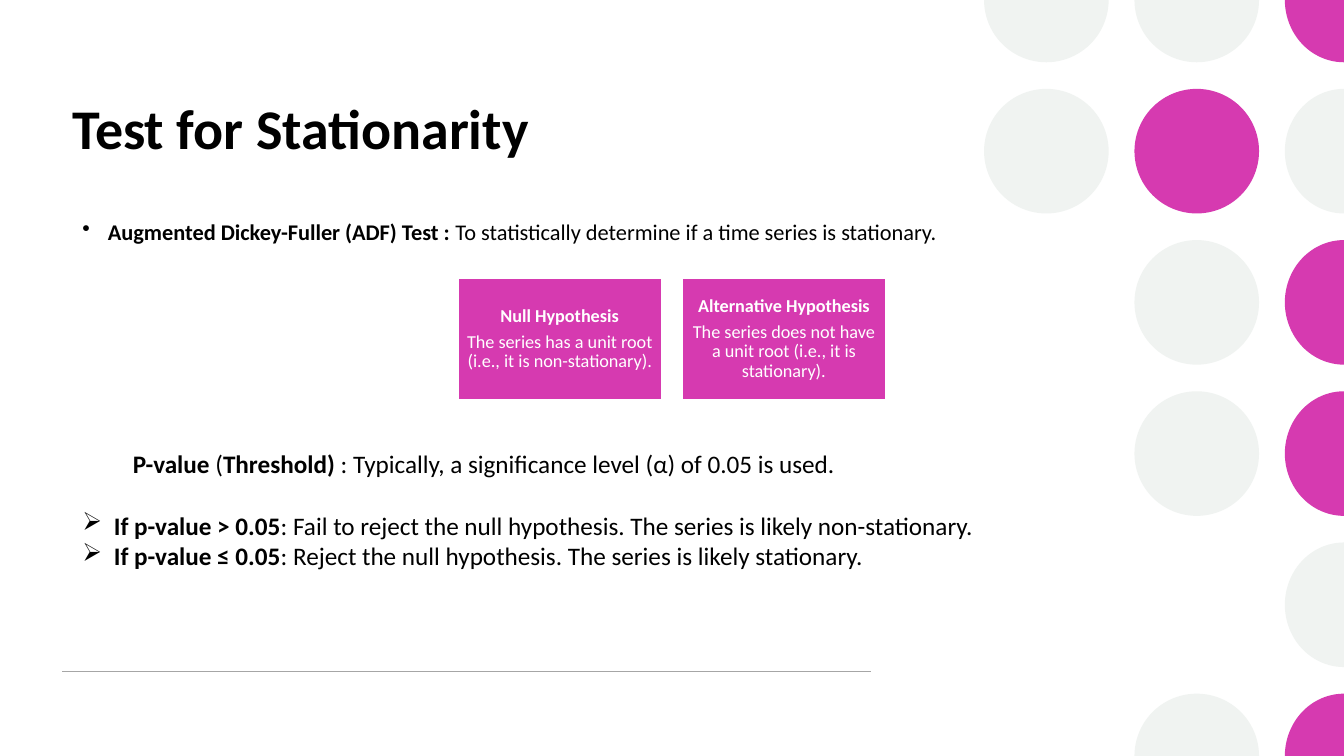
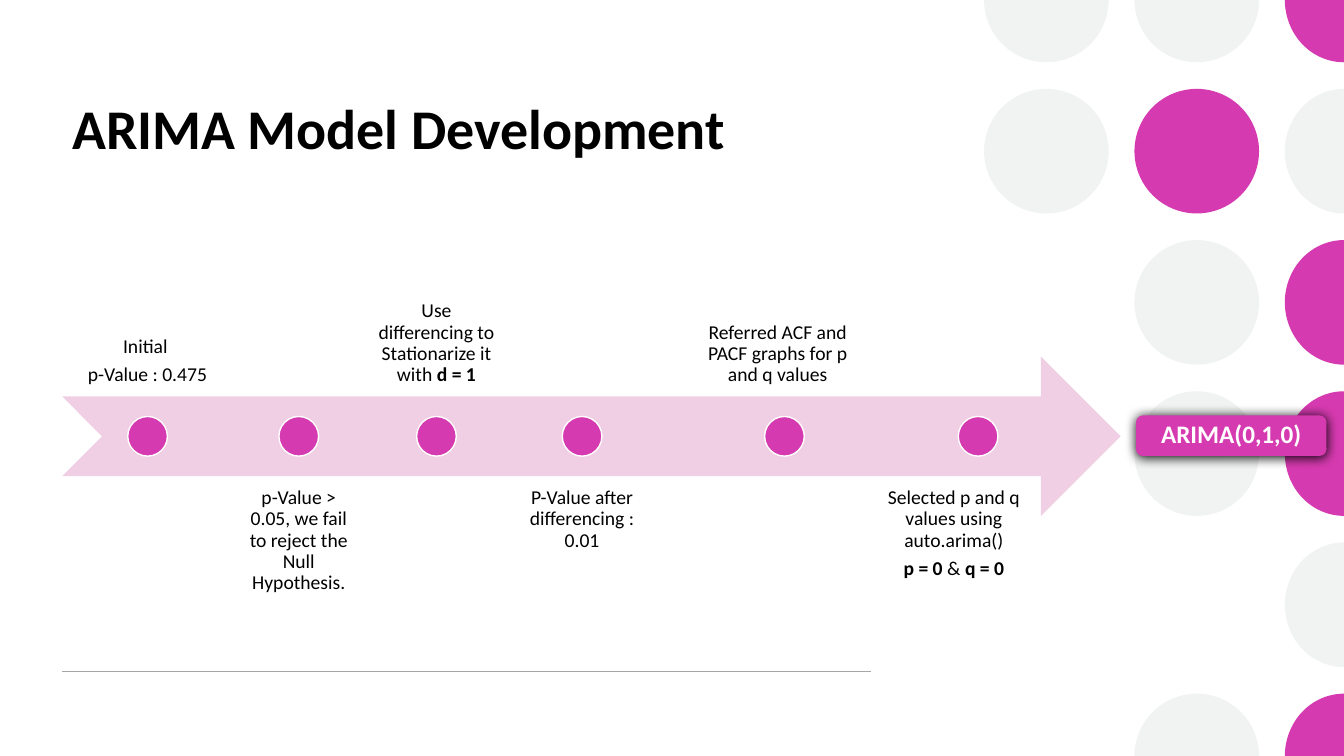
from dataclasses import dataclass
from math import cos, radians, sin

from lxml import etree
from pptx import Presentation
from pptx.dml.color import RGBColor
from pptx.enum.shapes import MSO_CONNECTOR, MSO_SHAPE
from pptx.enum.text import MSO_ANCHOR, PP_ALIGN
from pptx.oxml.ns import qn
from pptx.shapes.autoshape import Shape
from pptx.slide import Slide
from pptx.util import Cm, Pt

LEFT, CENTER = PP_ALIGN.LEFT, PP_ALIGN.CENTER
TOP, MIDDLE, BOTTOM = MSO_ANCHOR.TOP, MSO_ANCHOR.MIDDLE, MSO_ANCHOR.BOTTOM
OVAL, RECTANGLE = MSO_SHAPE.OVAL, MSO_SHAPE.RECTANGLE
ROUNDED, NOTCHED_ARROW = MSO_SHAPE.ROUNDED_RECTANGLE, MSO_SHAPE.NOTCHED_RIGHT_ARROW
STRAIGHT = MSO_CONNECTOR.STRAIGHT

FONT = "Calibri"
BLACK, WHITE = "000000", "FFFFFF"
PINK, PALE_PINK, MIST, RULE_GREY = "D63AB0", "F0CEE4", "F0F3F1", "A6A6A6"

PAGE_WIDTH, PAGE_HEIGHT = 33.87, 19.05
MARGIN = 1.57
DEGREE = 60000

# Circle pattern: one string per row, one letter per column
CIRCLE_ROWS = ("MMP", "MPM", " MP", " MP", "  M", " MP")
CIRCLE_FILLS = {"M": MIST, "P": PINK}
CIRCLE_RADIUS = 1.57
CIRCLE_LEFT, CIRCLE_STEP_X, CIRCLE_STEP_Y = 26.37, 3.79, 3.81


@dataclass(frozen=True)
class Area:
    left: float
    top: float
    width: float
    height: float

    def lengths(self) -> tuple[Cm, Cm, Cm, Cm]:
        return Cm(self.left), Cm(self.top), Cm(self.width), Cm(self.height)


@dataclass(frozen=True)
class Span:
    text: str
    bold: bool = False


@dataclass(frozen=True)
class Para:
    spans: tuple[Span, ...]
    bullet: str = ""
    margin: float = 0
    indent: float = 0
    before: float = 0


@dataclass(frozen=True)
class TextStyle:
    size: float
    color: str = BLACK
    align: PP_ALIGN = LEFT
    anchor: MSO_ANCHOR = TOP
    inset_x: float = 0.25
    inset_y: float = 0.13
    compact: bool = False


@dataclass(frozen=True)
class Step:
    center: float
    width: float
    paras: tuple[Para, ...]
    dot_shift: float = 0


TITLE_STYLE = TextStyle(40)
CARD_STYLE = TextStyle(13, WHITE, CENTER, MIDDLE, 0.13, 0.13, True)
ABOVE_STYLE = TextStyle(14, BLACK, CENTER, BOTTOM, 0.28, 0.28, True)
BELOW_STYLE = TextStyle(14, BLACK, CENTER, TOP, 0.28, 0.28, True)
BADGE_STYLE = TextStyle(18, WHITE, CENTER, MIDDLE, 0.18, 0.1, True)


def plain(text: str) -> Para:
    return Para((Span(text),))


def rgb(color: str) -> RGBColor:
    return RGBColor.from_string(color)


def paint(shape: Shape, fill: str, line: str = "") -> None:
    shape.shadow.inherit = False
    shape.fill.solid()
    shape.fill.fore_color.rgb = rgb(fill)
    if line:
        shape.line.color.rgb = rgb(line)
        shape.line.width = Pt(1)
    else:
        shape.line.fill.background()


def add_figure(page: Slide, kind: MSO_SHAPE, area: Area, fill: str, line: str = "") -> Shape:
    shape = page.shapes.add_shape(kind, *area.lengths())
    paint(shape, fill, line)
    return shape


def write(box: Shape, paras: tuple[Para, ...], style: TextStyle) -> None:
    frame = box.text_frame
    frame.word_wrap = True
    frame.vertical_anchor = style.anchor
    frame.margin_left = frame.margin_right = Cm(style.inset_x)
    frame.margin_top = frame.margin_bottom = Cm(style.inset_y)
    for index, para in enumerate(paras):
        paragraph = frame.add_paragraph() if index else frame.paragraphs[0]
        paragraph.alignment = style.align
        if style.compact:
            paragraph.line_spacing = 0.9
            paragraph.space_after = Pt(round(0.35 * style.size, 1))
        if para.before:
            paragraph.space_before = Pt(para.before)
        properties = paragraph._p.get_or_add_pPr()
        properties.set("marL", str(Cm(para.margin)))
        properties.set("indent", str(Cm(para.indent)))
        if para.bullet:
            etree.SubElement(properties, qn("a:buChar")).set("char", para.bullet)
        for span in para.spans:
            run = paragraph.add_run()
            run.text = span.text
            run.font.name = FONT
            run.font.size = Pt(style.size)
            run.font.bold = span.bold
            run.font.color.rgb = rgb(style.color)


def add_text(page: Slide, area: Area, paras: tuple[Para, ...], style: TextStyle) -> None:
    write(page.shapes.add_textbox(*area.lengths()), paras, style)


def add_circle(page: Slide, x: float, y: float, fill: str) -> None:
    """Draw a pattern circle, or the half or quarter inside the page edges."""
    radius = CIRCLE_RADIUS
    start, end = (90, 270) if x + radius > PAGE_WIDTH else (0, 360)
    if y < radius:
        end = min(end, 180)
    elif y > PAGE_HEIGHT - radius:
        start = max(start, 180)
    if end - start == 360:
        add_figure(page, OVAL, Area(x - radius, y - radius, 2 * radius, 2 * radius), fill)
        return
    left, right = x - radius, min(x + radius, PAGE_WIDTH)
    top, bottom = max(y - radius, 0), min(y + radius, PAGE_HEIGHT)
    center_x = min(x, PAGE_WIDTH)
    radius_x = center_x - left
    first = (center_x + radius_x * cos(radians(start)), y + radius * sin(radians(start)))
    corners = [(left, top), (right, top), (right, bottom), (left, bottom)]
    builder = page.shapes.build_freeform(Cm(center_x), Cm(y))
    builder.add_line_segments([(Cm(a), Cm(b)) for a, b in [first, *corners]], close=True)
    shape = builder.convert_to_shape()
    # The corners set the extent; one arc takes their place in the outline
    outline = shape._element.spPr.find(f".//{qn('a:path')}")
    for segment in outline.findall(qn("a:lnTo"))[1:]:
        outline.remove(segment)
    arc = etree.Element(qn("a:arcTo"))
    for name, value in (("wR", Cm(radius_x)), ("hR", Cm(radius)),
                        ("stAng", start * DEGREE), ("swAng", (end - start) * DEGREE)):
        arc.set(name, str(int(value)))
    outline.find(qn("a:close")).addprevious(arc)
    paint(shape, fill)


def add_page(deck: Presentation, title: str) -> Slide:
    page = deck.slides.add_slide(deck.slide_layouts[6])
    # Circle pattern
    for row, letters in enumerate(CIRCLE_ROWS):
        for column, letter in enumerate(letters):
            if letter in CIRCLE_FILLS:
                add_circle(page, CIRCLE_LEFT + column * CIRCLE_STEP_X,
                           row * CIRCLE_STEP_Y, CIRCLE_FILLS[letter])
    # Footer rule
    rule = page.shapes.add_connector(STRAIGHT, Cm(MARGIN), Cm(16.92), Cm(21.95), Cm(16.92))
    rule.line.color.rgb = rgb(RULE_GREY)
    rule.line.width = Pt(1)
    etree.SubElement(rule._element.spPr, qn("a:effectLst"))
    # Title
    add_text(page, Area(MARGIN, 2.23, 20.37, 3.4), (Para((Span(title, True),)),), TITLE_STYLE)
    return page


def add_dark_shadow(shape: Shape) -> None:
    effects = shape._element.spPr.find(qn("a:effectLst"))
    shadow = etree.SubElement(effects, qn("a:outerShdw"))
    for name, value in (("blurRad", Pt(8.5)), ("dist", Pt(1)), ("dir", 90 * DEGREE)):
        shadow.set(name, str(int(value)))
    etree.SubElement(shadow, qn("a:srgbClr")).set("val", BLACK)


def add_stationarity_page(deck: Presentation) -> None:
    page = add_page(deck, "Test for Stationarity")
    # Test being used
    intro = Para((Span("Augmented Dickey-Fuller (ADF) Test :", True),
                  Span(" To statistically determine if a time series is stationary.")),
                 "•", 0.64, -0.64)
    add_text(page, Area(1.83, 5.36, 30.23, 1.19), (intro,), TextStyle(16))

    # Hypothesis cards
    cards = (
        ("Null Hypothesis", "The series has a unit root (i.e., it is non-stationary)."),
        ("Alternative Hypothesis",
         "The series does not have a unit root (i.e., it is stationary)."),
    )
    for index, (heading, meaning) in enumerate(cards):
        card = add_figure(page, RECTANGLE, Area(11.54 + index * 5.65, 7.01, 5.13, 3.07),
                          PINK, WHITE)
        write(card, (Para((Span(heading, True),)), plain(meaning)), CARD_STYLE)

    # Decision rules
    rules = (
        Para((Span("P-value ", True), Span("("), Span("Threshold) ", True),
              Span(": Typically, a significance level (α) of 0.05 is used.")), margin=1.27),
        Para((Span("If p-value > 0.05", True),
              Span(": Fail to reject the null hypothesis. "
                   "The series is likely non-stationary.")),
             "➢", 0.79, -0.79, 22),
        Para((Span("If p-value ≤ 0.05", True),
              Span(": Reject the null hypothesis. The series is likely stationary.")),
             "➢", 0.79, -0.79),
    )
    add_text(page, Area(1.83, 11.18, 29.13, 4.11), rules, TextStyle(18))


def add_model_page(deck: Presentation) -> None:
    page = add_page(deck, "ARIMA Model Development")
    arrow = Area(MARGIN, 8.99, 26.67, 4.01)
    add_figure(page, NOTCHED_ARROW, arrow, PALE_PINK)

    # Steps, alternating above and below the arrow
    steps = (
        Step(3.72, 4.29, (plain("Initial "), plain("p-Value : 0.475"))),
        Step(7.53, 3.12, (plain("p-Value > 0.05, we fail to reject the Null Hypothesis."),)),
        Step(11, 3.56, (Para((Span("Use differencing to Stationarize it with "),
                              Span("d = 1", True))),)),
        Step(14.67, 3.58, (plain("P-Value after differencing : 0.01"),)),
        Step(19.6, 4.85, (plain("Referred ACF and PACF graphs for p and q values"),), 0.17),
        Step(24.04, 4.04, (plain("Selected p and q values using auto.arima()"),
                           Para((Span("p = 0", True), Span(" & "), Span("q = 0", True)))),
             0.61),
    )
    dot_size = 1
    middle = arrow.top + arrow.height / 2
    for index, step in enumerate(steps):
        top, style = (12.01, BELOW_STYLE) if index % 2 else (5.99, ABOVE_STYLE)
        add_text(page, Area(step.center - step.width / 2, top, step.width, arrow.height),
                 step.paras, style)
        dot_left = step.center + step.dot_shift - dot_size / 2
        add_figure(page, OVAL, Area(dot_left, middle - dot_size / 2, dot_size, dot_size),
                   PINK, WHITE)

    # Chosen model
    badge = add_figure(page, ROUNDED, Area(28.63, 10.47, 4.8, 1.02), PINK)
    add_dark_shadow(badge)
    write(badge, (Para((Span("ARIMA(0,1,0)", True),)),), BADGE_STYLE)


def main() -> None:
    deck = Presentation()
    deck.slide_width, deck.slide_height = Cm(PAGE_WIDTH), Cm(PAGE_HEIGHT)
    add_stationarity_page(deck)
    add_model_page(deck)
    deck.save("out.pptx")


if __name__ == "__main__":
    main()
